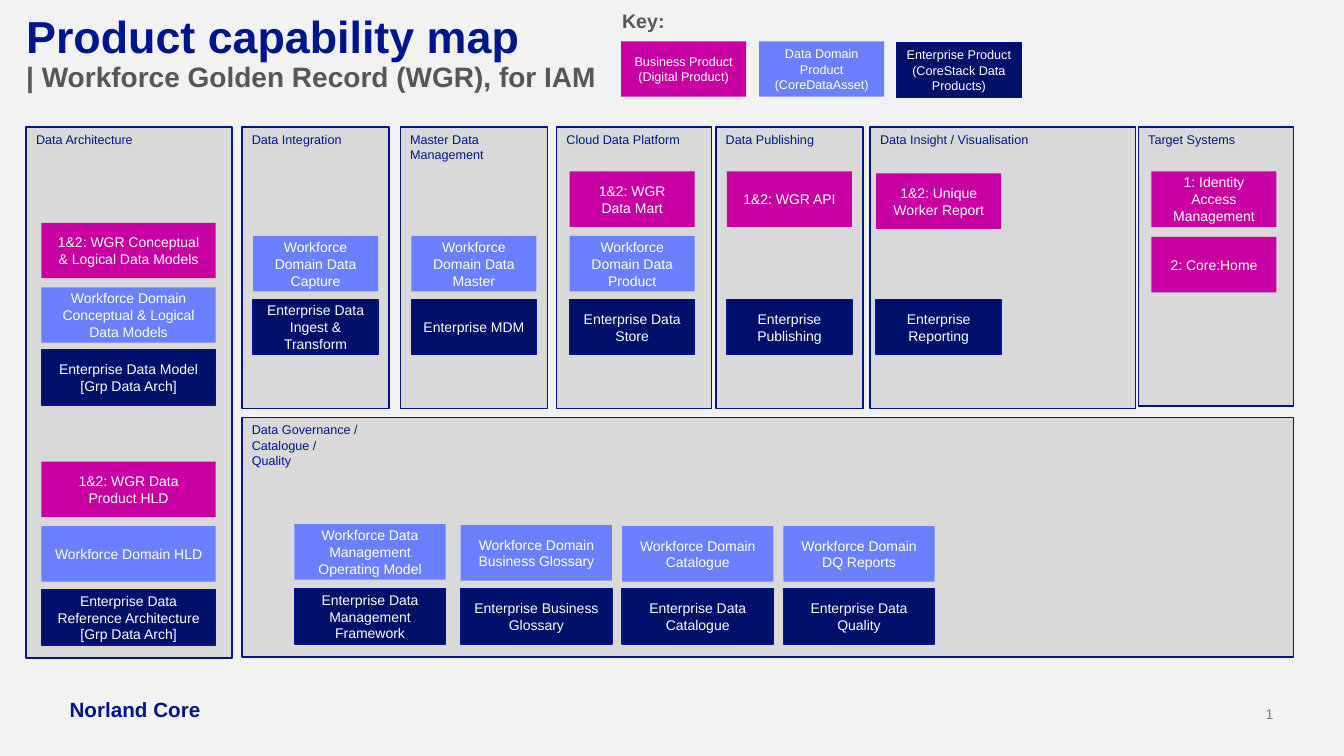
from lxml.etree import SubElement
from pptx import Presentation
from pptx.dml.color import RGBColor
from pptx.enum.shapes import MSO_SHAPE
from pptx.enum.text import MSO_ANCHOR, PP_ALIGN
from pptx.oxml.ns import qn
from pptx.util import Inches, Pt

NAVY, GREY, WHITE = "00148C", "55555A", "FFFFFF"
PANEL_FILL = "D9D9D9"
CARD_H = 0.55

# Card kind: fill, outline, horizontal inset, vertical inset
BUSINESS = ("C800A1", None, 0.13, 0.07)
DOMAIN = ("6B80FF", None, 0.13, 0.07)
ENTERPRISE = ("000F69", NAVY, 0.1, 0.05)

# left, top, width, height, heading
PANELS = [
    (0.26, 1.26, 2.04, 5.27, "Data Architecture"),
    (2.4, 1.26, 1.46, 2.79, "Data Integration"),
    (3.97, 1.26, 1.46, 2.79, "Master Data Management"),
    (5.52, 1.26, 1.54, 2.79, "Cloud Data Platform"),
    (7.1, 1.26, 1.46, 2.79, "Data Publishing"),
    (8.63, 1.26, 2.63, 2.79, "Data Insight / Visualisation"),
    (11.29, 1.26, 1.54, 2.77, "Target Systems"),
    (2.4, 4.14, 10.43, 2.38, "Data Governance /\nCatalogue /\nQuality"),
]

# left, card width, text size, [(top, kind, text), ...]
CARD_COLUMNS = [
    (6.16, 1.24, 9, [(0.41, BUSINESS, "Business Product\n(Digital Product)")]),
    (7.53, 1.24, 9, [(0.41, DOMAIN, "Data Domain Product (CoreDataAsset)")]),
    (8.89, 1.24, 9, [(0.42, ENTERPRISE, "Enterprise Product (CoreStack Data Products)")]),
    (0.41, 1.73, 10, [
        (2.21, BUSINESS, "1&2: WGR Conceptual & Logical Data Models"),
        (2.85, DOMAIN, "Workforce Domain Conceptual & Logical Data Models"),
        (3.47, ENTERPRISE, "Enterprise Data Model\n[Grp Data Arch]"),
        (4.58, BUSINESS, "1&2: WGR Data Product HLD"),
        (5.22, DOMAIN, "Workforce Domain HLD"),
        (5.85, ENTERPRISE, "Enterprise Data Reference Architecture [Grp Data Arch]"),
    ]),
    (2.51, 1.24, 10, [
        (2.34, DOMAIN, "Workforce Domain Data Capture"),
        (2.97, ENTERPRISE, "Enterprise Data Ingest & Transform"),
    ]),
    (4.08, 1.24, 10, [
        (2.34, DOMAIN, "Workforce Domain Data Master"),
        (2.97, ENTERPRISE, "Enterprise MDM"),
    ]),
    (5.65, 1.24, 10, [
        (1.7, BUSINESS, "1&2: WGR Data Mart"),
        (2.34, DOMAIN, "Workforce Domain Data Product"),
        (2.97, ENTERPRISE, "Enterprise Data Store"),
    ]),
    (7.21, 1.24, 10, [
        (1.7, BUSINESS, "1&2: WGR API"),
        (2.97, ENTERPRISE, "Enterprise Publishing"),
    ]),
    (8.69, 1.24, 10, [
        (1.72, BUSINESS, "1&2: Unique Worker Report"),
        (2.97, ENTERPRISE, "Enterprise Reporting"),
    ]),
    (11.42, 1.24, 10, [
        (1.7, BUSINESS, "1: Identity Access Management"),
        (2.35, BUSINESS, "2: Core:Home"),
    ]),
    (2.92, 1.5, 10, [
        (5.2, DOMAIN, "Workforce Data Management Operating Model"),
        (5.84, ENTERPRISE, "Enterprise Data Management Framework"),
    ]),
    (4.57, 1.5, 10, [
        (5.21, DOMAIN, "Workforce Domain Business Glossary"),
        (5.84, ENTERPRISE, "Enterprise Business Glossary"),
    ]),
    (6.17, 1.5, 10, [
        (5.22, DOMAIN, "Workforce Domain Catalogue"),
        (5.84, ENTERPRISE, "Enterprise Data Catalogue"),
    ]),
    (7.77, 1.5, 10, [
        (5.22, DOMAIN, "Workforce Domain DQ Reports"),
        (5.84, ENTERPRISE, "Enterprise Data Quality"),
    ]),
]


def rgb(value):
    return RGBColor.from_string(value)


def set_font(font, size, color, bold=False):
    for name, value in {"name": "Arial", "size": Pt(size), "bold": bold}.items():
        setattr(font, name, value)
    font.color.rgb = rgb(color)


def set_frame(tf, inset_x, inset_y, anchor, wrap=True):
    frame = {
        "margin_left": Inches(inset_x), "margin_right": Inches(inset_x),
        "margin_top": Inches(inset_y), "margin_bottom": Inches(inset_y),
        "vertical_anchor": anchor, "word_wrap": wrap,
    }
    for name, value in frame.items():
        setattr(tf, name, value)


def add_box(s, at, fill, line, text, size, color, align, anchor, insets=(0.1, 0.05)):
    """Rectangle whose text has one paragraph per line."""
    sp = s.shapes.add_shape(MSO_SHAPE.RECTANGLE, *map(Inches, at))
    sp.shadow.inherit = False
    sp.fill.solid()
    sp.fill.fore_color.rgb = rgb(fill)
    if line:
        sp.line.color.rgb = rgb(line)
        sp.line.width = Pt(1)
    else:
        sp.line.fill.background()
    tf = sp.text_frame
    set_frame(tf, *insets, anchor)
    tf.text = text
    for p in tf.paragraphs:
        p.alignment = align
        set_font(p.runs[0].font, size, color)


def add_panel(s, left, top, width, height, heading):
    add_box(s, (left, top, width, height), PANEL_FILL, NAVY, heading, 9, NAVY,
            PP_ALIGN.LEFT, MSO_ANCHOR.TOP)


def add_card(s, left, top, width, size, kind, text):
    fill, line, *insets = kind
    add_box(s, (left, top, width, CARD_H), fill, line, text, size, WHITE,
            PP_ALIGN.CENTER, MSO_ANCHOR.MIDDLE, insets)


def add_label(s, at, runs, anchor=MSO_ANCHOR.TOP, wrap=False):
    """Text box without insets; each (text, size, color) run is a bold line."""
    tf = s.shapes.add_textbox(*map(Inches, at)).text_frame
    set_frame(tf, 0, 0, anchor, wrap)
    p = tf.paragraphs[0]
    for i, (text, size, color) in enumerate(runs):
        if i:
            p.add_line_break()
        r = p.add_run()
        r.text = text
        set_font(r.font, size, color, bold=True)
    return p


def add_slide_number(s, at, number):
    p = add_label(s, at, [(number, 10, "808080")], MSO_ANCHOR.BOTTOM, wrap=True)
    p.alignment = PP_ALIGN.RIGHT
    r = p.runs[0]
    r.font.bold = False
    fld = SubElement(p._p, qn("a:fld"), type="slidenum",
                     id="{B6F15528-21DE-4FAA-801E-634DDDAF4B2B}")
    for part in list(r._r):
        fld.append(part)
    p._p.remove(r._r)


def main():
    prs = Presentation()
    prs.slide_width, prs.slide_height = Inches(13.33), Inches(7.5)
    s = prs.slides.add_slide(prs.slide_layouts[6])
    s.background.fill.solid()
    s.background.fill.fore_color.rgb = rgb("F2F2F2")

    title = add_label(s, (0.26, 0.15, 11.96, 1.09), [
        ("Product capability map", 32, NAVY),
        ("| Workforce Golden Record (WGR), for IAM", 20, GREY),
    ], wrap=True)
    title.line_spacing = 0.9
    add_label(s, (6.17, 0.09, 0.74, 0.24), [("Key:", 14, GREY)])

    for panel in PANELS:
        add_panel(s, *panel)
    for left, width, size, cards in CARD_COLUMNS:
        for top, kind, text in cards:
            add_card(s, left, top, width, size, kind, text)

    add_label(s, (0.69, 6.91, 1.33, 0.25), [("Norland Core", 14.7, NAVY)], MSO_ANCHOR.BOTTOM)
    add_slide_number(s, (12.21, 7, 0.42, 0.17), "4")
    prs.save("out.pptx")


if __name__ == "__main__":
    main()
